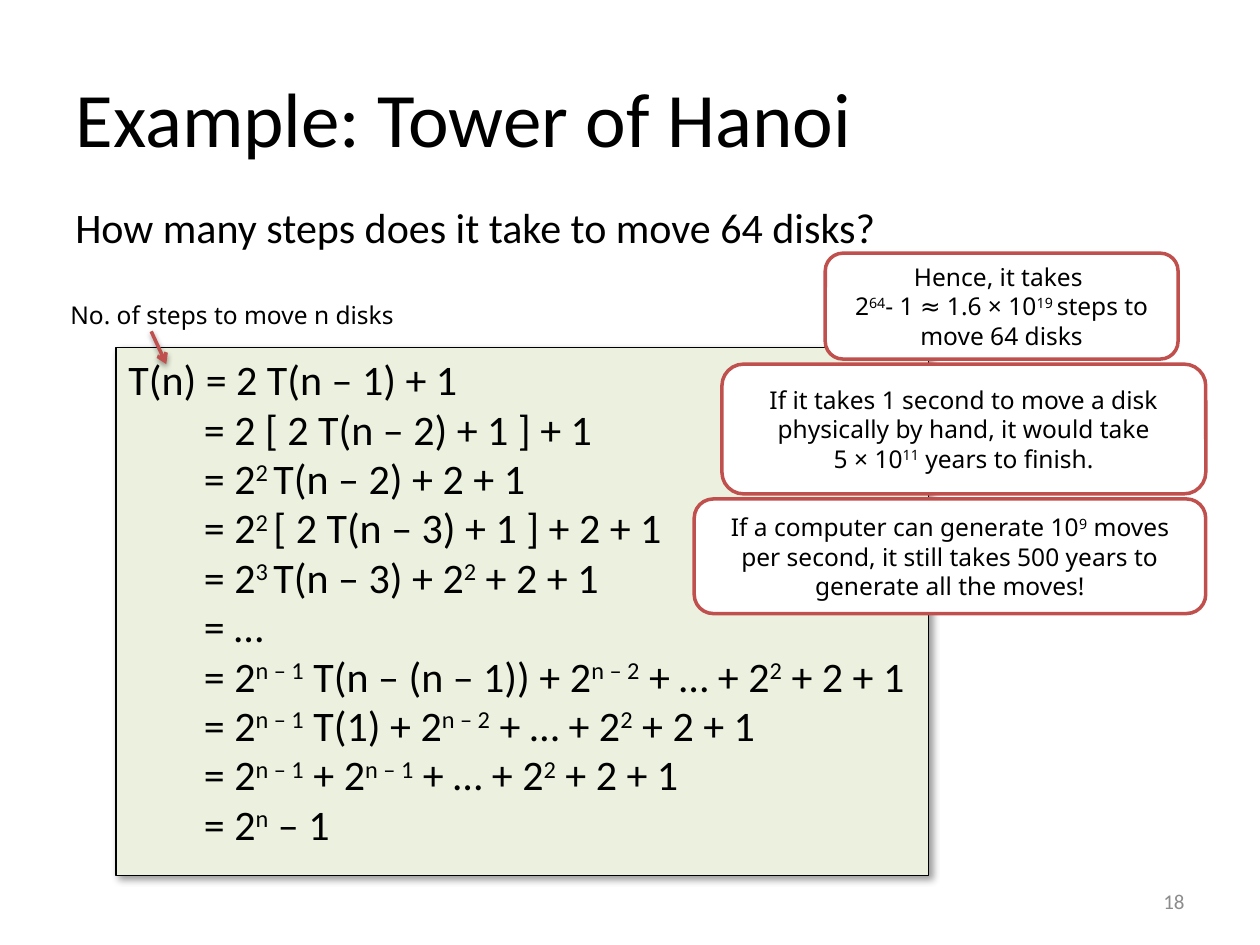
from lxml import etree
from pptx import Presentation
from pptx.dml.color import RGBColor
from pptx.enum.shapes import MSO_CONNECTOR, MSO_SHAPE
from pptx.enum.text import MSO_ANCHOR, PP_ALIGN
from pptx.oxml.ns import qn
from pptx.util import Inches, Pt

LEFT, CENTER, RIGHT = PP_ALIGN.LEFT, PP_ALIGN.CENTER, PP_ALIGN.RIGHT
TOP, MIDDLE = MSO_ANCHOR.TOP, MSO_ANCHOR.MIDDLE
RECTANGLE, ROUNDED = MSO_SHAPE.RECTANGLE, MSO_SHAPE.ROUNDED_RECTANGLE
STRAIGHT = MSO_CONNECTOR.STRAIGHT
BLACK, WHITE, GRAY, RED, GREEN = "000000", "FFFFFF", "8C8C8C", "C0504D", "EBF1DE"

EXPANSION = [
    "= 2 [ 2 T(n – 2) + 1 ] + 1",
    "= 2^2 ^T(n – 2) + 2 + 1",
    "= 2^2 ^[ 2 T(n – 3) + 1 ] + 2 + 1",
    "= 2^3 ^T(n – 3) + 2^2^ + 2 + 1",
    "= …",
    "= 2^n – 1^ T(n – (n – 1)) + 2^n – 2^ + … + 2^2^ + 2 + 1",
    "= 2^n – 1^ T(1) + 2^n – 2^ + … + 2^2^ + 2 + 1",
    "= 2^n – 1^ + 2^n – 1^ + … + 2^2^ + 2 + 1",
    "= 2^n^ – 1",
]
CALLOUTS = [
    ((6.55, 2.01, 2.8, 0.84),
     ["Hence, it takes ", "2^64^- 1 ≈ 1.6 × 10^19 ^steps to move 64 disks"]),
    ((5.73, 2.89, 3.84, 1.03),
     ["If it takes 1 second to move a disk physically by hand, it would take\v"
      "5 × 10^11^ years to finish."]),
    ((5.51, 3.96, 4.06, 0.91),
     ["If a computer can generate 10^9^ moves per second, "
      "it still takes 500 years to generate all the moves!"]),
]


def color(value):
    """Return the colour for a hex string."""
    return RGBColor.from_string(value)


def write_paragraph(paragraph, text, size, font, ink, align):
    """Write text in which carets enclose superscripts."""
    paragraph.alignment = align
    for index, part in enumerate(text.split("^")):
        for row, line in enumerate(part.split("\v")):
            if row:
                paragraph.add_line_break()
            run = paragraph.add_run()
            run.text = line
            run.font.size = Pt(size)
            run.font.name = font
            run.font.color.rgb = color(ink)
            if index % 2:
                run.font._element.set("baseline", "30000")


def write(shape, lines, size=24, font="Calibri", ink=BLACK, align=LEFT,
          anchor=TOP, wrap=True):
    """Fill the text frame of a shape and return it."""
    frame = shape.text_frame
    frame.word_wrap = wrap
    frame.vertical_anchor = anchor
    for index, line in enumerate(lines):
        paragraph = frame.add_paragraph() if index else frame.paragraphs[0]
        write_paragraph(paragraph, line, size, font, ink, align)
    return frame


def add_text(slide, box, lines, **style):
    """Add a text box and return its text frame."""
    return write(slide.shapes.add_textbox(*map(Inches, box)), lines, **style)


def add_panel(slide, kind, box, fill, line, width):
    """Add a filled and outlined shape without a shadow."""
    shape = slide.shapes.add_shape(kind, *map(Inches, box))
    shape.shadow.inherit = False
    shape.fill.solid()
    shape.fill.fore_color.rgb = color(fill)
    shape.line.color.rgb = color(line)
    shape.line.width = Pt(width)
    return shape


def add_shadow(shape, opacity, blur, distance, angle):
    """Give a shape or connector a black outer shadow."""
    properties = shape._element.spPr
    for old in properties.findall(qn("a:effectLst")):
        properties.remove(old)
    effects = etree.SubElement(properties, qn("a:effectLst"))
    shadow = etree.SubElement(
        effects, qn("a:outerShdw"), blurRad=str(Pt(blur)), dist=str(Pt(distance)),
        dir=str(angle * 60000), algn="tl", rotWithShape="0")
    ink = etree.SubElement(shadow, qn("a:srgbClr"), val=BLACK)
    etree.SubElement(ink, qn("a:alpha"), val=str(opacity * 1000))


def add_heading(slide, box):
    """Place the title and the question below it."""
    left, top, width, height = box
    title = slide.shapes.title
    title.left, title.top, title.width, title.height = map(Inches, box)
    write(title, ["Example: Tower of Hanoi"], size=44, anchor=MIDDLE)
    frame = add_text(slide, (left, top + height, width, 5.15),
                     ["How many steps does it take to move 64 disks?"])
    frame.paragraphs[0].space_before = Pt(4.8)


def add_derivation(slide, box):
    """Place the panel with the recurrence and its expansion."""
    left, top, width, height = box
    panel = add_panel(slide, RECTANGLE, box, GREEN, BLACK, 0.75)
    add_shadow(panel, 40, 4, 3, 45)
    write(panel, ["T(n) = 2 T(n – 1) + 1"])
    frame = add_text(slide, (left + 0.1, top + 0.41, width, 3.34),
                     ["\t" + line for line in EXPANSION])
    for paragraph in frame.paragraphs:
        paragraph.line_spacing = 0.98
        tabs = etree.SubElement(paragraph._p.get_or_add_pPr(), qn("a:tabLst"))
        etree.SubElement(tabs, qn("a:tab"), pos=str(Inches(0.5)), algn="l")


def add_label(slide, box):
    """Place the label of T(n) and its arrow."""
    left, top, width, height = box
    add_text(slide, box, ["No. of steps to move n disks"], size=14,
             font="Noto Sans", wrap=False)
    ends = (left + 0.74, top + 0.3, left + 0.86, top + 0.56)
    arrow = slide.shapes.add_connector(STRAIGHT, *map(Inches, ends))
    arrow.line.color.rgb = color(RED)
    arrow.line.width = Pt(2)
    etree.SubElement(arrow.line._get_or_add_ln(), qn("a:tailEnd"), type="arrow")
    add_shadow(arrow, 38, 3.1, 1.6, 90)


def add_callout(slide, box, lines):
    """Place a rounded remark."""
    callout = add_panel(slide, ROUNDED, box, WHITE, RED, 2)
    write(callout, lines, size=14, font="Noto Sans", align=CENTER, anchor=MIDDLE)


def main():
    """Build the slide and save it."""
    presentation = Presentation()
    presentation.slide_width, presentation.slide_height = Inches(10), Inches(7.5)
    slide = presentation.slides.add_slide(presentation.slide_layouts[5])
    add_heading(slide, (0.5, 0.3, 9, 1.25))
    add_text(slide, (7.17, 6.95, 2.33, 0.4), ["18"], size=12, ink=GRAY,
             align=RIGHT, anchor=MIDDLE)
    add_derivation(slide, (0.92, 2.76, 6.45, 4.19))
    add_label(slide, (0.46, 2.33, 2.99, 0.34))
    for box, lines in CALLOUTS:
        add_callout(slide, box, lines)
    presentation.save("out.pptx")


main()
